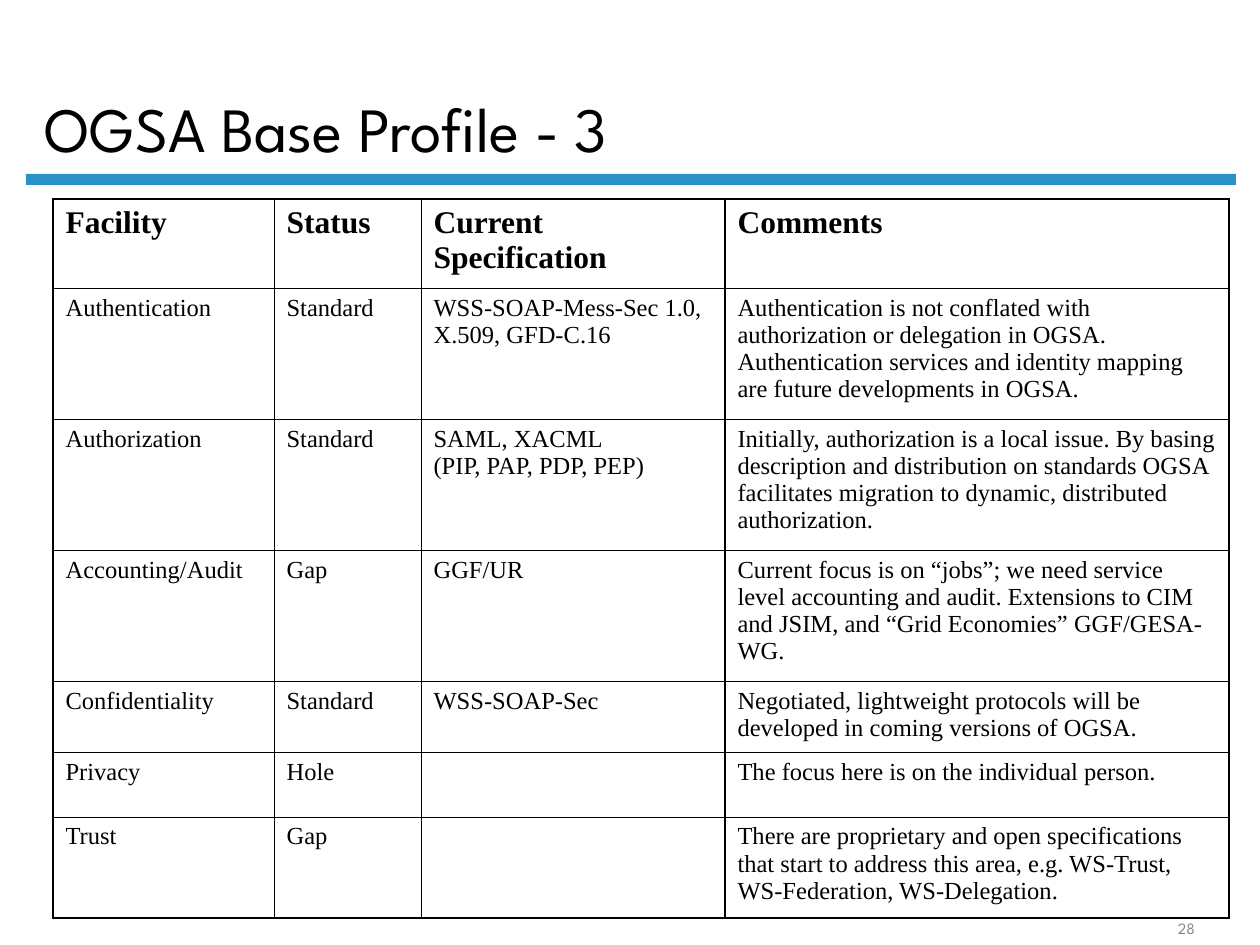
import pptx
import pptx.util
import pptx.dml.color
import pptx.enum.shapes
import pptx.enum.text
import pptx.oxml
import pptx.oxml.ns

RGB = pptx.dml.color.RGBColor
BLACK = RGB(0x00, 0x00, 0x00)
BLUE = RGB(0x29, 0x90, 0xCA)
GRAY = RGB(0x84, 0x85, 0x89)
HEAD = "League Spartan"
SERIF = "Times New Roman"
ALIGN = pptx.enum.text.PP_ALIGN
ANCHOR = pptx.enum.text.MSO_ANCHOR

COLS = [221, 147, 304, 504]
ROWS = [89, 131, 131, 131, 71, 65, 101]
THIN, OUTER, THICK = 0.45, 1.08, 1.47
CELLS = [
    ["Facility", "Status", "Current Specification", "Comments"],
    ["Authentication", "Standard", "WSS-SOAP-Mess-Sec 1.0,\nX.509, GFD-C.16",
     "Authentication is not conflated with authorization or delegation in OGSA. "
     "Authentication services and identity mapping are future developments in OGSA."],
    ["Authorization", "Standard", "SAML, XACML\n(PIP, PAP, PDP, PEP)",
     "Initially, authorization is a local issue. By basing description and "
     "distribution on standards OGSA facilitates migration to dynamic, "
     "distributed authorization."],
    ["Accounting/Audit", "Gap", "GGF/UR",
     "Current focus is on “jobs”; we need service level accounting and audit. "
     "Extensions to CIM and JSIM, and “Grid Economies” GGF/GESA-WG."],
    ["Confidentiality", "Standard", "WSS-SOAP-Sec",
     "Negotiated, lightweight protocols will be developed in coming versions of OGSA."],
    ["Privacy", "Hole", "", "The focus here is on the individual person."],
    ["Trust", "Gap", "",
     "There are proprietary and open specifications that start to address this "
     "area, e.g. WS-Trust, WS-Federation, WS-Delegation."],
]


def px(n):
    return pptx.util.Emu(round(n * 914400 / 126))


def write(frame, text, size=14, font=SERIF, color=BLACK, bold=False,
          align=ALIGN.LEFT, space=None):
    frame.text = text
    frame.word_wrap = True
    for para in frame.paragraphs:
        para.alignment = align
        if space:
            para.line_spacing = space
        para.font.size = pptx.util.Pt(size)
        para.font.name = font
        para.font.bold = bold
        para.font.color.rgb = color


def border(cell, **sides):
    props = cell._tc.get_or_add_tcPr()
    for n, (side, width) in enumerate(sides.items()):
        props.insert(n, pptx.oxml.parse_xml(
            f'<a:ln{side} {pptx.oxml.ns.nsdecls("a")} w="{pptx.util.Pt(width)}">'
            f'<a:solidFill><a:srgbClr val="{BLACK}"/></a:solidFill></a:ln{side}>'))


def header(slide, x, y, w, h):
    # Blue rule under the title
    rule = slide.shapes.add_shape(pptx.enum.shapes.MSO_SHAPE.RECTANGLE,
                                  px(x), px(y + h - 11), px(w), px(11))
    rule.shadow.inherit = False
    rule.fill.solid()
    rule.fill.fore_color.rgb = BLUE
    rule.line.fill.background()
    # Title
    title = slide.shapes.title
    title.left, title.top = px(x + 6), px(y)
    title.width, title.height = px(1079), px(h - 12)
    frame = title.text_frame
    frame.auto_size = pptx.enum.text.MSO_AUTO_SIZE.NONE
    frame.vertical_anchor = ANCHOR.BOTTOM
    write(frame, "OGSA Base Profile - 3", size=36, font=HEAD, space=0.9)


def grid(slide, x, y):
    table = slide.shapes.add_table(len(ROWS), len(COLS), px(x), px(y),
                                   px(sum(COLS)), px(sum(ROWS))).table
    table.first_row = table.horz_banding = False
    for col, w in zip(table.columns, COLS):
        col.width = px(w)
    for row, h in zip(table.rows, ROWS):
        row.height = px(h)
    # Vertical and horizontal line widths, from edge to edge
    vert = [OUTER, THIN, THIN, THICK, OUTER]
    horz = [OUTER] + [THIN] * (len(ROWS) - 1) + [OUTER]
    for r, line in enumerate(CELLS):
        for c, text in enumerate(line):
            cell = table.cell(r, c)
            cell.fill.background()
            border(cell, L=vert[c], R=vert[c + 1], T=horz[r], B=horz[r + 1])
            write(cell.text_frame, text, size=14 if r else 18, bold=r == 0)


def number(slide, x, y, w, h):
    frame = slide.shapes.add_textbox(px(x), px(y), px(w), px(h)).text_frame
    frame.vertical_anchor = ANCHOR.BOTTOM
    write(frame, "28", size=9, font=HEAD, color=GRAY, align=ALIGN.CENTER)


def main():
    deck = pptx.Presentation()
    deck.slide_width, deck.slide_height = px(1260), px(945)
    slide = deck.slides.add_slide(deck.slide_layouts[5])
    header(slide, 26, 15, 1210, 170)
    grid(slide, 53, 199)
    number(slide, 1134, 914, 105, 30)
    deck.save("out.pptx")


if __name__ == "__main__":
    main()
